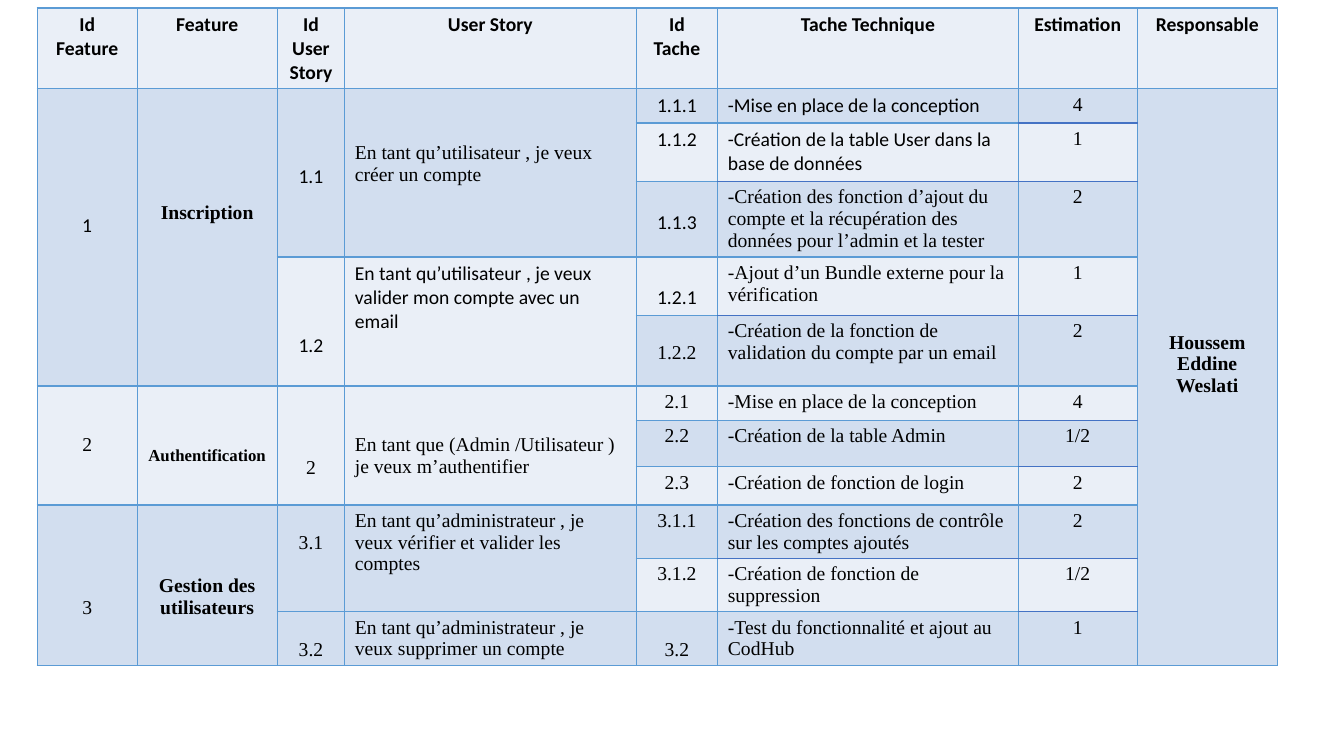
from lxml import etree
from pptx import Presentation
from pptx import util as u
from pptx.dml.color import RGBColor
from pptx.enum import text
from pptx.oxml.ns import qn

SANS, SERIF = "Calibri", "Times New Roman"
PALE, BAND = "EAEFF7", "D2DEEF"
EDGE, TASK_EDGE = "5B9BD5", "4472C4"
STORY, TASK, ESTIMATE = 3, 5, 6

WIDTHS = [0.99, 1.39, 0.67, 2.89, 0.81, 2.98, 1.18, 1.39]
HEIGHTS = [0.8, 0.34, 0.58, 0.75, 0.58, 0.7, 0.34, 0.46, 0.38, 0.53, 0.53, 0.53]
HEADINGS = ["Id Feature", "Feature", "Id User Story", "User Story", "Id Tache",
            "Tache Technique", "Estimation", "Responsable"]

# row, column, rows spanned, top margin, font, size, bold, wording
GROUPS = [
    (1, 0, 5, 1.24, SANS, 14, False, "1"),
    (1, 1, 5, 1.12, SERIF, 14, True, "Inscription"),
    (1, 2, 3, 0.76, SANS, 14, False, "1.1"),
    (1, 3, 3, 0.53, SERIF, 14, False, "En tant qu’utilisateur , je veux créer un compte"),
    (1, 7, 11, 2.41, SERIF, 14, True, "Houssem Eddine Weslati"),
    (4, 2, 2, 0.76, SANS, 14, False, "1.2"),
    (4, 3, 2, 0.05, SANS, 14, False,
     "En tant qu’utilisateur , je veux valider mon compte avec un email"),
    (6, 0, 3, 0.48, SERIF, 14, False, "2"),
    (6, 1, 3, 0.6, SERIF, 12, True, "Authentification"),
    (6, 2, 3, 0.7, SERIF, 14, False, "2"),
    (6, 3, 3, 0.48, SERIF, 14, False,
     "En tant que (Admin /Utilisateur ) je veux m’authentifier"),
    (9, 0, 3, 0.91, SERIF, 14, False, "3"),
    (9, 1, 3, 0.7, SERIF, 14, True, "Gestion des utilisateurs"),
    (9, 2, 2, 0.27, SERIF, 14, False, "3.1"),
    (9, 3, 2, 0.05, SERIF, 14, False,
     "En tant qu’administrateur , je veux vérifier et valider les comptes"),
    (11, 2, 1, 0.27, SERIF, 14, False, "3.2"),
    (11, 3, 1, 0.05, SERIF, 14, False,
     "En tant qu’administrateur , je veux supprimer un compte"),
]

# id, id font, id top margin, task, task font, estimate
TASKS = [
    ("1.1.1", SANS, 0.05, "-Mise en place de la conception", SANS, "4"),
    ("1.1.2", SANS, 0.05, "-Création de la table User dans la base de données", SANS, "1"),
    ("1.1.3", SANS, 0.29, "-Création des fonction d’ajout du compte et la récupération "
     "des données pour l’admin et la tester", SERIF, "2"),
    ("1.2.1", SANS, 0.29, "-Ajout d’un Bundle externe pour la vérification", SERIF, "1"),
    ("1.2.2", SERIF, 0.26, "-Création de la fonction de validation du compte par un email",
     SERIF, "2"),
    ("2.1", SERIF, 0.05, "-Mise en place de la conception", SERIF, "4"),
    ("2.2", SERIF, 0.05, "-Création de la table Admin", SERIF, "1/2"),
    ("2.3", SERIF, 0.05, "-Création de fonction de login", SERIF, "2"),
    ("3.1.1", SERIF, 0.05, "-Création des fonctions de contrôle sur les comptes ajoutés",
     SERIF, "2"),
    ("3.1.2", SERIF, 0.05, "-Création de fonction de suppression", SERIF, "1/2"),
    ("3.2", SERIF, 0.27, "-Test du fonctionnalité et ajout au CodHub", SERIF, "1"),
]

DARK_BELOW = {TASK: {2, 4, 9}, ESTIMATE: {1, 2, 4, 6, 7, 9, 10}}


def color(value):
    return RGBColor.from_string(value)


def edge_below(row, column):
    return TASK_EDGE if row in DARK_BELOW.get(column, ()) else EDGE


def set_borders(cell, row, column):
    sides = [("a:lnL", EDGE), ("a:lnR", EDGE),
             ("a:lnT", edge_below(row - 1, column)), ("a:lnB", edge_below(row, column))]
    properties = cell._tc.get_or_add_tcPr()
    for index, (side, shade) in enumerate(sides):
        line = etree.Element(qn(side), w=str(u.Pt(1)))
        fill = etree.SubElement(line, qn("a:solidFill"))
        etree.SubElement(fill, qn("a:srgbClr"), val=shade)
        properties.insert(index, line)


def write_cell(cell, wording, font, size=14, bold=False, top=0.05, centered=True):
    cell.margin_top, cell.margin_bottom = u.Inches(top), u.Inches(0.03)
    para = cell.text_frame.paragraphs[0]
    para.alignment = text.PP_ALIGN.CENTER if centered else text.PP_ALIGN.LEFT
    span = para.add_run()
    span.text = wording
    span.font.name, span.font.size, span.font.bold = font, u.Pt(size), bold
    span.font.color.rgb = color("000000")


def add_backlog(page, left, top, width, height):
    frame = page.shapes.add_table(len(HEIGHTS), len(WIDTHS), u.Inches(left), u.Inches(top),
                                  u.Inches(width), u.Inches(height))
    table = frame.table
    table.first_row = table.horz_banding = False
    for column, share in zip(table.columns, WIDTHS):
        column.width = u.Inches(width * share / sum(WIDTHS))
    for row, share in zip(table.rows, HEIGHTS):
        row.height = u.Inches(height * share / sum(HEIGHTS))

    for row in range(len(HEIGHTS)):
        for column in range(len(WIDTHS)):
            cell = table.cell(row, column)
            cell.margin_top = cell.margin_bottom = 0
            cell.fill.solid()
            cell.fill.fore_color.rgb = color(BAND if row % 2 else PALE)
            set_borders(cell, row, column)

    for column, heading in enumerate(HEADINGS):
        write_cell(table.cell(0, column), heading, SANS, bold=True)
    for row, column, rows, drop, font, size, bold, wording in GROUPS:
        cell = table.cell(row, column)
        if rows > 1:
            cell.merge(table.cell(row + rows - 1, column))
        write_cell(cell, wording, font, size, bold, drop, column != STORY)
    for row, (number, number_font, drop, task, task_font, estimate) in enumerate(TASKS, 1):
        write_cell(table.cell(row, TASK - 1), number, number_font, top=drop)
        write_cell(table.cell(row, TASK), task, task_font, centered=False)
        write_cell(table.cell(row, ESTIMATE), estimate, SERIF)


def main():
    deck = Presentation()
    deck.slide_width, deck.slide_height = u.Inches(13.33), u.Inches(7.5)
    page = deck.slides.add_slide(deck.slide_layouts[6])
    add_backlog(page, 0.37, 0.08, sum(WIDTHS), sum(HEIGHTS))
    deck.save("out.pptx")


if __name__ == "__main__":
    main()
